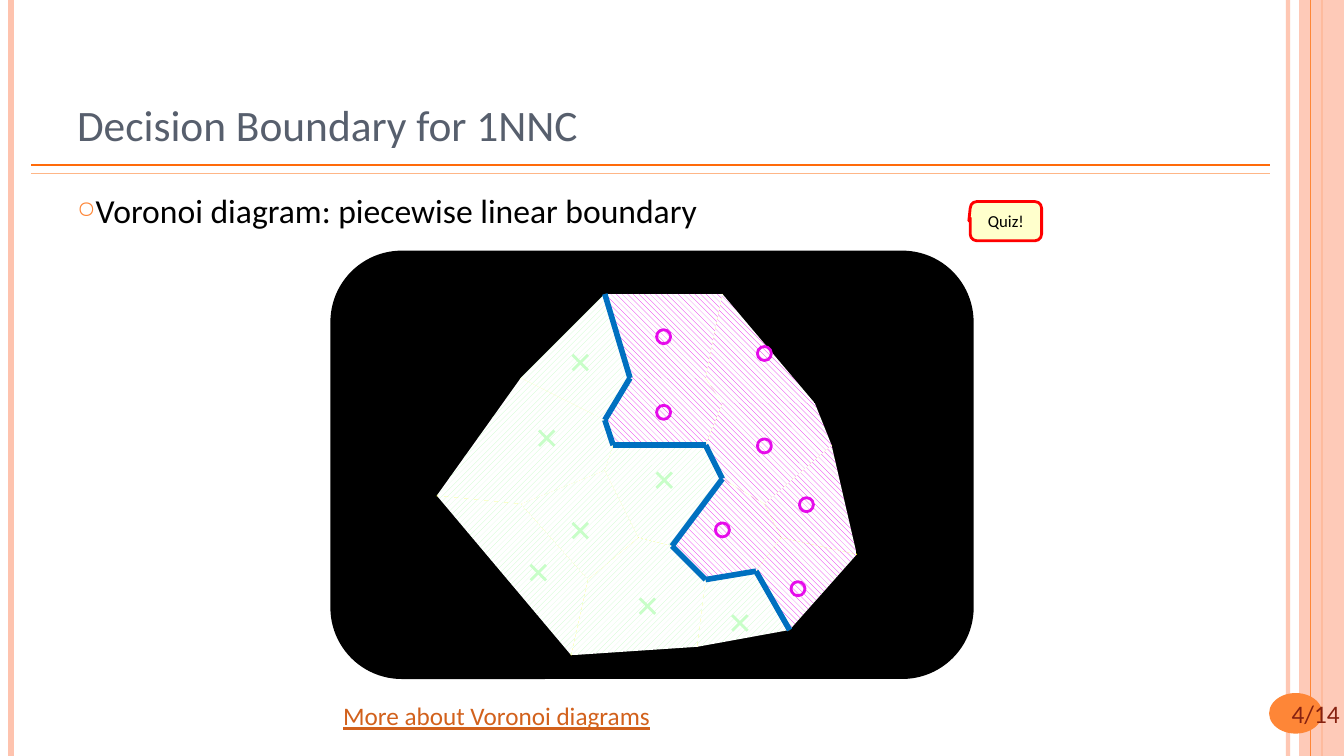
from lxml import etree
from pptx import Presentation
from pptx.dml.color import RGBColor
from pptx.enum.dml import MSO_PATTERN
from pptx.enum.shapes import MSO_CONNECTOR, MSO_SHAPE
from pptx.enum.text import MSO_ANCHOR, PP_ALIGN
from pptx.oxml.ns import qn
from pptx.util import Pt

STRAIGHT = MSO_CONNECTOR.STRAIGHT
RECT, OVAL = MSO_SHAPE.RECTANGLE, MSO_SHAPE.OVAL
ROUND, CALL = MSO_SHAPE.ROUNDED_RECTANGLE, MSO_SHAPE.ROUNDED_RECTANGULAR_CALLOUT
DOWN, UP = MSO_PATTERN.WIDE_DOWNWARD_DIAGONAL, MSO_PATTERN.WIDE_UPWARD_DIAGONAL
LEFT, RIGHT, CENTER = PP_ALIGN.LEFT, PP_ALIGN.RIGHT, PP_ALIGN.CENTER
TOP, MIDDLE, BOTTOM = MSO_ANCHOR.TOP, MSO_ANCHOR.MIDDLE, MSO_ANCHOR.BOTTOM

HEX = {
    "peach": "FEC3AE", "orange": "FE8637", "vivid": "FF6B0A", "sand": "FEB687",
    "black": "000000", "white": "FFFFFF", "slate": "575F6D", "brown": "862110",
    "rust": "D2611C", "yellow": "FAFD00", "pink": "E60BEB", "green": "C8FEC8",
    "blue": "0070C0", "cream": "FFFFCC", "red": "FF0000",
}
RGB = {name: RGBColor.from_string(code) for name, code in HEX.items()}

deck = Presentation()
deck.slide_width, deck.slide_height = Pt(960), Pt(540)
slide = deck.slides.add_slide(deck.slide_layouts[6])
shapes = slide.shapes


def draw(start, end, color, width):
    line = shapes.add_connector(STRAIGHT, *[Pt(v) for v in (*start, *end)])
    line.line.color.rgb = RGB[color]
    line.line.width = Pt(width)
    etree.SubElement(line._element.spPr, qn("a:effectLst"))
    return line


def write(frame, text, size, color, align, anchor, wrap):
    frame.word_wrap, frame.vertical_anchor = wrap, anchor
    para = frame.paragraphs[0]
    para.alignment = align
    run = para.add_run()
    run.text = text
    for key, value in {"name": "Calibri", "size": Pt(size)}.items():
        setattr(run.font, key, value)
    run.font.color.rgb = RGB[color]
    return para


edge = draw((920, 0), (920, 540), "peach", 3)
draw((8, 0), (8, 540), "peach", 4.5)
draw((944, 0), (944, 540), "orange", 1.5)
band = shapes.add_shape(RECT, Pt(928), Pt(0), Pt(32), Pt(540))
draw((936, 0), (936, 540), "orange", 0.75)
draw((22.5, 118), (907, 118), "vivid", 1)
draw((22.5, 124), (907, 124), "sand", 1)
disc = shapes.add_shape(OVAL, Pt(906.5), Pt(495), Pt(38), Pt(29))
panel = shapes.add_shape(ROUND, Pt(236), Pt(179), Pt(459.5), Pt(306))
for shape, color in ((band, "peach"), (disc, "orange"), (panel, "black")):
    shape.shadow.inherit = False
    shape.fill.solid()
    shape.fill.fore_color.rgb = RGB[color]
    shape.line.fill.background()
for shape, alpha in ((band, 87000), (edge, 93000)):
    tint = next(shape._element.spPr.iter(qn("a:srgbClr")))
    etree.SubElement(tint, qn("a:alpha"), val=str(alpha))

texts = [
    ("4/14", (877, 495, 87, 29), 18, "brown", RIGHT, TOP, True),
    ("Voronoi diagram: piecewise linear boundary", (48, 134.5, 784, 375),
     24, "black", LEFT, TOP, True),
    ("Decision Boundary for 1NNC", (48, 21.5, 784, 90), 31, "slate", LEFT, BOTTOM, True),
    ("More about Voronoi diagrams", (238, 497, 236, 29), 18, "rust", LEFT, TOP, False),
]
paras = []
for text, place, *style in texts:
    box = shapes.add_textbox(*[Pt(v) for v in place])
    paras.append(write(box.text_frame, text, *style))
page, point, title, more = paras
point.line_spacing, title.line_spacing = 0.95, 0.9
more.runs[0].font.underline = True
props = point._p.get_or_add_pPr()
props.set("marL", "0")
props.set("indent", "0")
tone = etree.SubElement(props, qn("a:buClr"))
etree.SubElement(tone, qn("a:srgbClr"), val=HEX["orange"])
etree.SubElement(props, qn("a:buSzPct"), val="70000")
etree.SubElement(props, qn("a:buChar"), char="○")

nodes = {
    "A": (312, 354), "B": (372, 360), "C": (420, 414), "D": (408, 468),
    "E": (456, 384), "F": (480, 390), "G": (504, 414), "H": (498, 462),
    "I": (540, 408), "J": (564, 450), "K": (558, 384), "L": (612, 396),
    "M": (546, 360), "N": (594, 318), "O": (516, 342), "P": (504, 318),
    "Q": (516, 288), "R": (582, 288), "S": (504, 270), "T": (516, 210),
    "U": (450, 270), "V": (432, 300), "W": (438, 318), "X": (432, 210),
    "Y": (372, 270), "Z": (432, 336),
}
cells = {
    "pink": ["LKIJ", "NMKL", "OFGIKM", "RQPOMN", "UVWPQS", "XUST", "TSQR"],
    "green": ["HGIJ", "DCEFGH", "ABCD", "BZEC", "WPOFEZ", "YVWZBA", "XUVY"],
}
seen = set()
for cell in cells["pink"] + cells["green"]:
    for a, b in zip(cell, cell[1:] + cell[0]):
        pair = frozenset((a, b))
        if pair in seen:
            draw(nodes[a], nodes[b], "yellow", 1)
        seen.add(pair)

for color, hatch in (("pink", DOWN), ("green", UP)):
    for cell in cells[color]:
        first, *rest = [nodes[name] for name in cell]
        path = shapes.build_freeform(*first, scale=Pt(1))
        path.add_line_segments(rest, close=True)
        area = path.convert_to_shape()
        area.shadow.inherit = False
        area.fill.patterned()
        area.fill.pattern = hatch
        area.fill.fore_color.rgb = RGB[color]
        area.fill.back_color.rgb = RGB["white"]
        area.line.fill.background()

arm = 5.5
for x, y in ((390.5, 313), (414.5, 379), (414.5, 259), (384.5, 409),
             (474.5, 343), (462.5, 433), (528.5, 445)):
    for rise in (arm, -arm):
        draw((x - arm, y - rise), (x + arm, y + rise), "green", 2)

rad = 5
for x, y in ((474, 294.5), (474, 240.5), (546, 252.5), (546, 318.5),
             (516, 378.5), (576, 360.5), (570, 420.5)):
    ring = shapes.add_shape(OVAL, Pt(x - rad), Pt(y - rad), Pt(2 * rad), Pt(2 * rad))
    ring.shadow.inherit = False
    ring.fill.background()
    ring.line.color.rgb = RGB["pink"]
    ring.line.width = Pt(2)

border = "XUVWPOFGIJ"
for a, b in zip(border, border[1:]):
    draw(nodes[a], nodes[b], "blue", 4)

quiz = shapes.add_shape(CALL, Pt(693), Pt(144), Pt(51), Pt(28))
for index, value in enumerate((-0.52, -0.01, 0.17)):
    quiz.adjustments[index] = value
quiz.shadow.inherit = False
quiz.fill.solid()
quiz.fill.fore_color.rgb = RGB["cream"]
quiz.line.color.rgb = RGB["red"]
quiz.line.width = Pt(2)
write(quiz.text_frame, "Quiz!", 12, "black", CENTER, MIDDLE, True)

deck.save("out.pptx")
